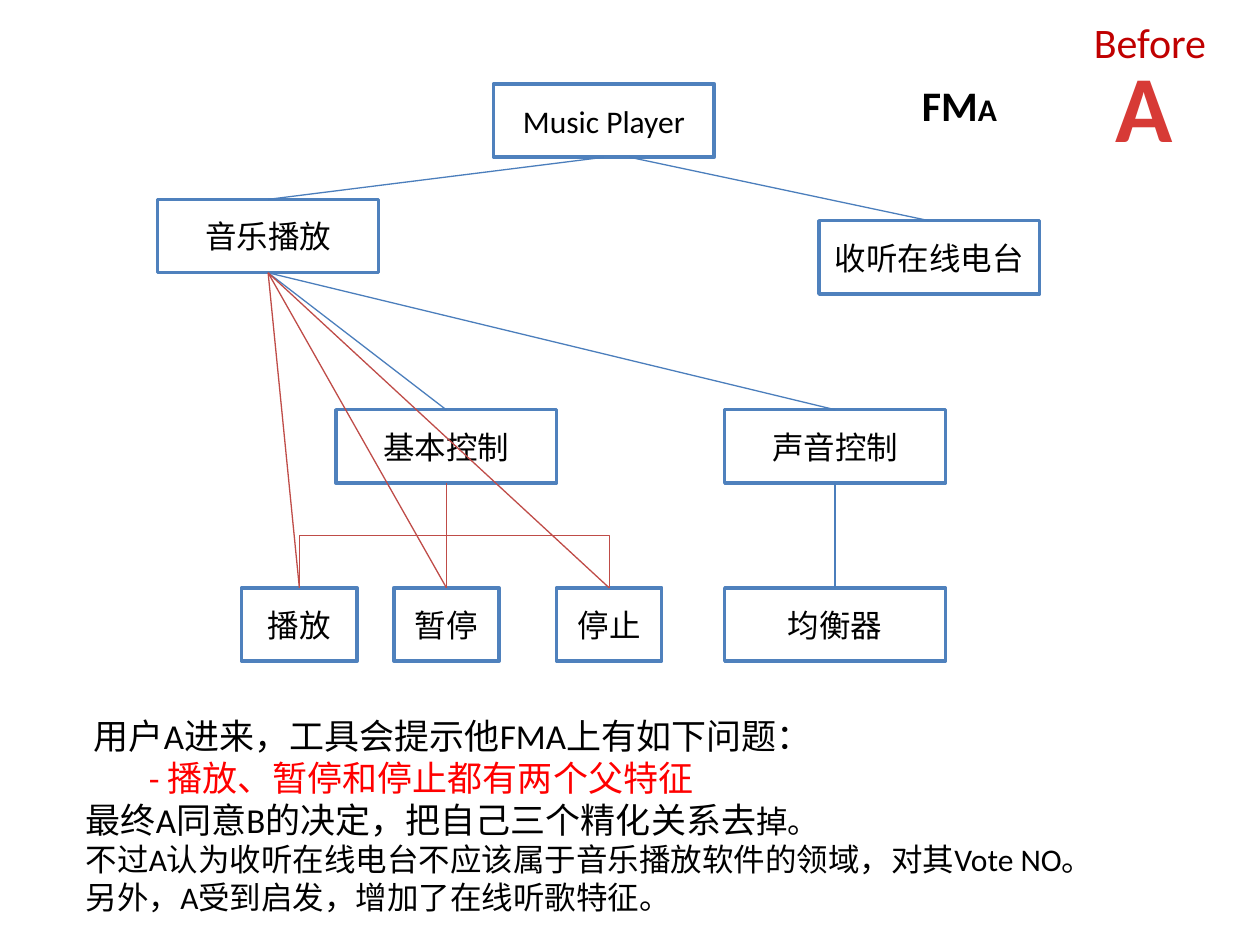
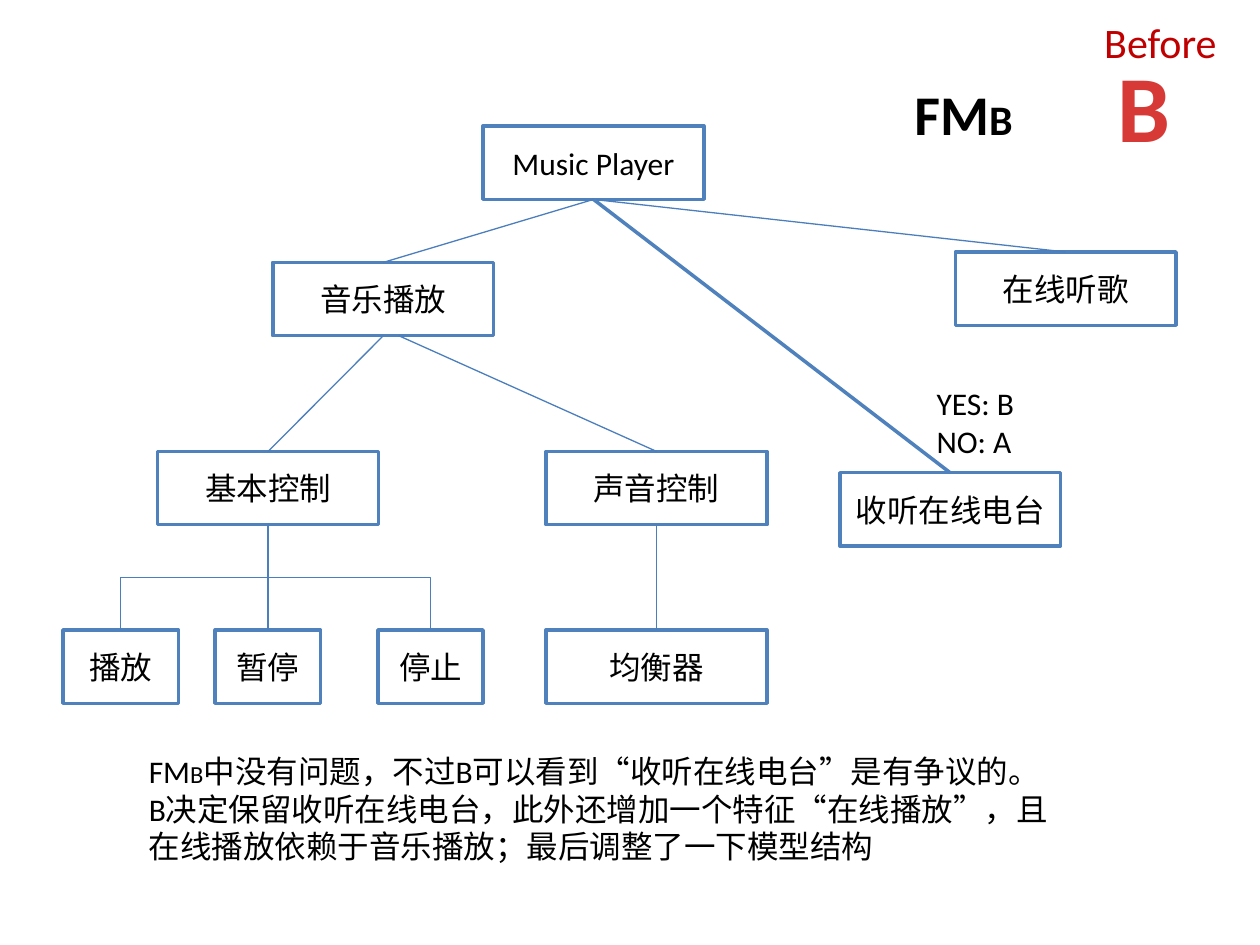
from lxml import etree
from pptx import Presentation
from pptx.dml.color import RGBColor
from pptx.enum.shapes import MSO_CONNECTOR, MSO_SHAPE
from pptx.enum.text import MSO_ANCHOR, MSO_AUTO_SIZE, PP_ALIGN
from pptx.oxml.ns import qn
from pptx.util import Cm, Pt

BLACK = RGBColor(0x00, 0x00, 0x00)
WHITE = RGBColor(0xFF, 0xFF, 0xFF)
RED = RGBColor(0xFF, 0x00, 0x00)
DARK_RED = RGBColor(0xC0, 0x00, 0x00)
LETTER_RED = RGBColor(0xD7, 0x3A, 0x36)
BOX_BLUE = RGBColor(0x4F, 0x81, 0xBD)
LINE_BLUE = RGBColor(0x4B, 0x7E, 0xBC)
LINE_RED = RGBColor(0xBF, 0x4C, 0x48)
FONT = "Calibri"
WIDE, PLAY_W, SHORT, BOX_H = 4.45, 2.33, 2.12, 1.48

# Feature boxes: label -> (left, top, width); edges: parent, child, elbow,
# colour, line width, shift of the start from the middle of the parent
SLIDES = [
    dict(
        user="A", title_at=(18.33, 1.48, 6.4, 1.27), title_sizes=(24, 18),
        before_left=21.8, letter_at=(22.23, 1.68),
        boxes={
            "Music Player": (9.95, 1.69, WIDE),
            "音乐播放": (3.18, 4.02, WIDE),
            "收听在线电台": (16.51, 4.45, WIDE),
            "基本控制": (6.77, 8.26, WIDE),
            "声音控制": (14.61, 8.26, WIDE),
            "播放": (4.87, 11.85, PLAY_W),
            "暂停": (7.94, 11.85, SHORT),
            "停止": (11.22, 11.85, SHORT),
            "均衡器": (14.61, 11.85, WIDE),
        },
        edges=[
            ("Music Player", "音乐播放", False, LINE_BLUE, 0.75, 0),
            ("Music Player", "收听在线电台", False, LINE_BLUE, 0.75, 0.52),
            ("音乐播放", "基本控制", False, LINE_BLUE, 0.75, 0),
            ("音乐播放", "声音控制", False, LINE_BLUE, 0.75, 0),
            ("声音控制", "均衡器", False, LINE_BLUE, 0.75, 0),
        ] + [(parent, child, parent == "基本控制", LINE_RED, 0.75, 0)
             for parent in ("基本控制", "音乐播放")
             for child in ("播放", "暂停", "停止")],
        # Text boxes: position, then paragraphs of (indent, runs)
        texts=[
            ((1.48, 14.27, 21.59, 7.26), [
                (0.16, [("用户A进来，工具会提示他FMA上有如下问题：", 20, BLACK)]),
                (1.27, [("- 播放、暂停和停止都有两个父特征", 20, RED)]),
                (0, [("最终A同意B的决定，把自己三个精化关系去", 20, BLACK),
                     ("掉。", 18, BLACK)]),
                (0, [("不过A认为收听在线电台不应该属于音乐播放软件的领域，对其Vote NO。",
                      18, BLACK)]),
                (0, [("另外，A受到启发，增加了在线听歌特征。", 18, BLACK)]),
            ]),
        ],
    ),
    dict(
        user="B", title_at=(18.18, 1.48, 6.4, 1.62), title_sizes=(32, 24),
        before_left=22.01, letter_at=(22.27, 1.6),
        boxes={
            "Music Player": (9.74, 2.54, WIDE),
            "音乐播放": (5.5, 5.29, WIDE),
            "在线听歌": (19.26, 5.08, WIDE),
            "收听在线电台": (16.93, 9.53, WIDE),
            "基本控制": (3.18, 9.1, WIDE),
            "声音控制": (11.01, 9.1, WIDE),
            "播放": (1.27, 12.7, PLAY_W),
            "暂停": (4.34, 12.7, SHORT),
            "停止": (7.62, 12.7, SHORT),
            "均衡器": (11.01, 12.7, WIDE),
        },
        edges=[
            ("Music Player", "音乐播放", False, LINE_BLUE, 0.75, 0),
            ("Music Player", "在线听歌", False, LINE_BLUE, 0.75, 0),
            ("Music Player", "收听在线电台", False, BOX_BLUE, 2, 0),
            ("音乐播放", "基本控制", False, LINE_BLUE, 0.75, 0),
            ("音乐播放", "声音控制", False, LINE_BLUE, 0.75, 0.32),
            ("声音控制", "均衡器", False, LINE_BLUE, 0.75, 0),
        ] + [("基本控制", child, True, LINE_BLUE, 0.75, 0)
             for child in ("播放", "暂停", "停止")],
        texts=[
            ((18.63, 7.62, 7.41, 1.8), [
                (0, [("YES: B", 18, BLACK)]),
                (0, [("NO: A", 18, BLACK)]),
            ]),
            ((2.75, 15.03, 19.05, 2.56), [
                (0, [("FM", 18, BLACK), ("B", 14, BLACK),
                     ("中没有问题，不过B可以看到“收听在线电台”是有争议的。", 18, BLACK)]),
                (0, [("B决定保留收听在线电台，此外还增加一个特征“在线播放”，且"
                      "在线播放依赖于音乐播放；最后调整了一下模型结构", 18, BLACK)]),
            ]),
        ],
    ),
]


def write(tf, paragraphs, bold=False, align=PP_ALIGN.LEFT):
    """Fill a text frame with paragraphs of (indent, runs)."""
    for i, (indent, runs) in enumerate(paragraphs):
        p = tf.add_paragraph() if i else tf.paragraphs[0]
        p.alignment = align
        if indent:
            p._p.get_or_add_pPr().set("marL", str(Cm(indent)))
        p.font.name, p.font.bold = FONT, bold
        for text, size, color in runs:
            r = p.add_run()
            r.text = text
            r.font.name, r.font.size = FONT, Pt(size)
            r.font.color.rgb = color


def connect(s, parent, child, elbow, color, width, shift):
    """Join the bottom of the parent box to the top of the child box."""
    x1, y1 = parent.left + parent.width // 2 + Cm(shift), parent.top + parent.height
    x2, y2 = child.left + child.width // 2, child.top
    kind = MSO_CONNECTOR.ELBOW if elbow else MSO_CONNECTOR.STRAIGHT
    sp = s.shapes.add_connector(kind, x1, y1, x2, y2)
    if not shift:
        sp.begin_connect(parent, 2)
    sp.end_connect(child, 0)
    if elbow:
        # Turn the elbow so that it leaves the parent downwards
        w, h = y2 - y1, abs(x2 - x1)
        sp.left, sp.top = (x1 + x2 - w) // 2, (y1 + y2 - h) // 2
        sp.width, sp.height = w, h
        xfrm = sp.element.spPr.find(qn("a:xfrm"))
        rightward = x2 > x1
        xfrm.set("rot", "16200000" if rightward else "5400000")
        xfrm.set("flipH", "1" if rightward else "0")
    sp.line.color.rgb, sp.line.width = color, Pt(width)
    etree.SubElement(sp.element.spPr, qn("a:effectLst"))


prs = Presentation()
prs.slide_width, prs.slide_height = Cm(25.4), Cm(19.05)

for page in SLIDES:
    s = prs.slides.add_slide(prs.slide_layouts[5])

    # Title: model name with its small user letter
    sp = s.shapes.title
    sp.left, sp.top, sp.width, sp.height = map(Cm, page["title_at"])
    tf = sp.text_frame
    tf.vertical_anchor, tf.auto_size = MSO_ANCHOR.TOP, MSO_AUTO_SIZE.NONE
    big, small = page["title_sizes"]
    write(tf, [(0, [("FM", big, BLACK), (page["user"], small, BLACK)])], bold=True)

    # Corner mark: stage and user
    sp = s.shapes.add_textbox(Cm(page["before_left"]), Cm(0.21), Cm(3.81), Cm(1.27))
    sp.text_frame.word_wrap = True
    write(sp.text_frame, [(0, [("Before", 24, DARK_RED)])])
    left, width = page["letter_at"]
    sp = s.shapes.add_textbox(Cm(left), Cm(0.85), Cm(width), Cm(2.56))
    sp.text_frame.word_wrap = False
    write(sp.text_frame, [(0, [(page["user"], 54, LETTER_RED)])], bold=True,
          align=PP_ALIGN.CENTER)

    # Feature boxes
    boxes = {}
    for label, (left, top, width) in page["boxes"].items():
        sp = s.shapes.add_shape(MSO_SHAPE.RECTANGLE, Cm(left), Cm(top), Cm(width), Cm(BOX_H))
        sp.shadow.inherit = False
        sp.fill.solid()
        sp.fill.fore_color.rgb = WHITE
        sp.line.color.rgb, sp.line.width = BOX_BLUE, Pt(2)
        sp.text_frame.vertical_anchor = MSO_ANCHOR.MIDDLE
        write(sp.text_frame, [(0, [(label, 18, BLACK)])], align=PP_ALIGN.CENTER)
        boxes[label] = sp

    # Refinement lines
    for parent, child, *style in page["edges"]:
        connect(s, boxes[parent], boxes[child], *style)

    # Votes and explanation
    for place, paragraphs in page["texts"]:
        sp = s.shapes.add_textbox(*map(Cm, place))
        sp.text_frame.word_wrap = True
        write(sp.text_frame, paragraphs)

prs.save("out.pptx")
